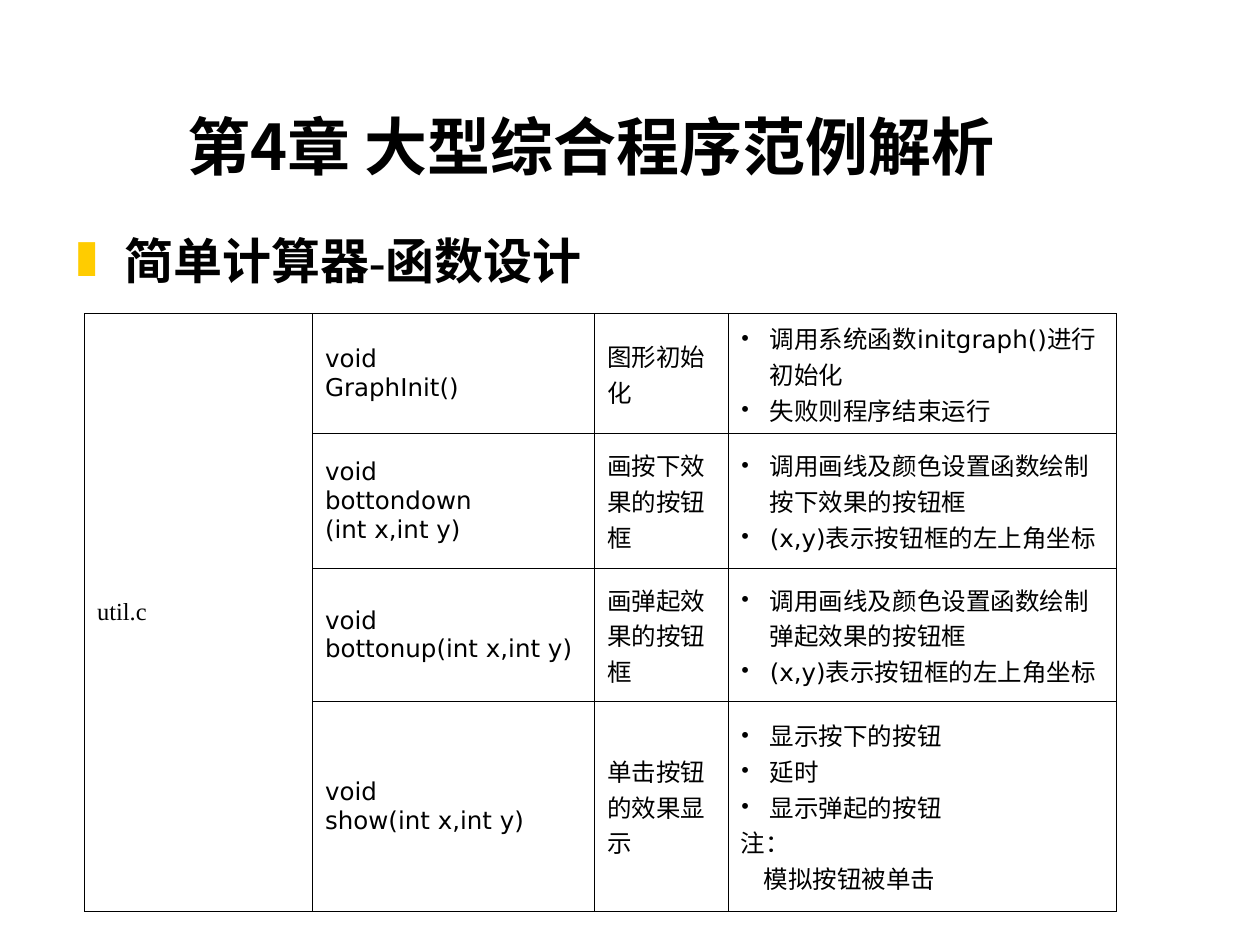
import pptx
import pptx.dml.color
import pptx.enum.text
import pptx.oxml
import pptx.oxml.ns
import pptx.util
from pptx.util import Inches

BLACK = pptx.dml.color.RGBColor(0, 0, 0)
GOLD = pptx.dml.color.RGBColor(0xFF, 0xCC, 0x00)
SERIF, SANS, CJK = "Times New Roman", "DejaVu Sans", "Noto Sans CJK SC"
ALIGN = pptx.enum.text.PP_ALIGN
ANCHOR = pptx.enum.text.MSO_ANCHOR

COLUMN_WIDTHS = [1.81, 2.24, 1.06, 3.08]
ROW_HEIGHTS = [0.95, 1.07, 1.06, 1.66]
SOURCE_FILE = "util.c"
FUNCTIONS = [
    (["void", "GraphInit()"], "图形初始化",
     ["调用系统函数initgraph()进行初始化", "失败则程序结束运行"], []),
    (["void", "bottondown", "(int x,int y)"], "画按下效果的按钮框",
     ["调用画线及颜色设置函数绘制按下效果的按钮框", "(x,y)表示按钮框的左上角坐标"], []),
    (["void", "bottonup(int x,int y)"], "画弹起效果的按钮框",
     ["调用画线及颜色设置函数绘制弹起效果的按钮框", "(x,y)表示按钮框的左上角坐标"], []),
    (["void", "show(int x,int y)"], "单击按钮的效果显示",
     ["显示按下的按钮", "延时", "显示弹起的按钮"], [("注：", 0), ("模拟按钮被单击", 0.18)]),
]


def add_element(parent, markup):
    """Append a DrawingML element given as markup without its namespace."""
    namespace = pptx.oxml.ns.nsdecls("a")
    tag, rest = markup.split(" ", 1)
    parent.append(pptx.oxml.parse_xml(f"{tag} {namespace} {rest}"))


def set_indent(paragraph, margin, bullet=None, color=BLACK):
    """Set the left margin, with a hanging bullet when one is given."""
    properties = paragraph._p.get_or_add_pPr()
    properties.set("marL", str(Inches(margin)))
    if bullet:
        properties.set("indent", str(-Inches(margin)))
        add_element(properties, f'<a:buClr ><a:srgbClr val="{color}"/></a:buClr>')
        add_element(properties, f'<a:buFont typeface="{SERIF}"/>')
        add_element(properties, f'<a:buChar char="{bullet}"/>')


def add_run(paragraph, text, font, size, bold=False):
    """Add a run with its Latin and East Asian fonts."""
    run = paragraph.add_run()
    run.text = text
    formats = {"name": font, "size": pptx.util.Pt(size), "bold": bold}
    for key, value in formats.items():
        setattr(run.font, key, value)
    run.font.color.rgb = BLACK
    add_element(run._r.get_or_add_rPr(), f'<a:ea typeface="{CJK}"/>')


def add_text_frame(slide, left, top, width, height, anchor):
    """Add a wrapping text box and return its frame."""
    box = slide.shapes.add_textbox(*map(Inches, (left, top, width, height)))
    box.text_frame.word_wrap = True
    box.text_frame.vertical_anchor = anchor
    return box.text_frame


def add_title(slide, left, top, width, height):
    """Place the chapter title."""
    frame = add_text_frame(slide, left, top, width, height, ANCHOR.BOTTOM)
    chapter = frame.paragraphs[0]
    chapter.alignment = ALIGN.CENTER
    add_run(chapter, "第4章 大型综合程序范例解析", CJK, 36, True)


def add_heading(slide, left, top, width, height):
    """Place the section heading with its gold bar bullet."""
    frame = add_text_frame(slide, left, top, width, height, ANCHOR.TOP)
    heading = frame.paragraphs[0]
    heading.alignment = ALIGN.JUSTIFY
    set_indent(heading, 0.38, "❚", GOLD)
    add_run(heading, "简单计算器-", SERIF, 28, True)
    add_run(heading, "函数设计", "Karla", 28, True)


def fill_cell(cell, lines, font):
    """Write lines of text, margin and bullet into a cell."""
    cell.vertical_anchor = ANCHOR.MIDDLE
    for index, (text, margin, bullet) in enumerate(lines):
        frame = cell.text_frame
        paragraph = frame.add_paragraph() if index else frame.paragraphs[0]
        set_indent(paragraph, margin, bullet)
        add_run(paragraph, text, font, 14)


def style_cell(cell):
    """Give a cell thin black borders and no fill."""
    for side in "LRTB":
        add_element(
            cell._tc.get_or_add_tcPr(),
            f'<a:ln{side} w="{pptx.util.Pt(0.45)}"><a:solidFill>'
            f'<a:srgbClr val="{BLACK}"/></a:solidFill></a:ln{side}>')
    cell.fill.background()


def add_function_table(slide, left, top, width, height):
    """Place the table of functions in the source file."""
    frame = slide.shapes.add_table(
        len(ROW_HEIGHTS), len(COLUMN_WIDTHS),
        *map(Inches, (left, top, width, height)))
    table = frame.table
    table.first_row = table.horz_banding = False
    for column, column_width in zip(table.columns, COLUMN_WIDTHS):
        column.width = Inches(column_width)
    for row, row_height in zip(table.rows, ROW_HEIGHTS):
        row.height = Inches(row_height)
    for cell in table.iter_cells():
        style_cell(cell)
    table.cell(0, 0).merge(table.cell(len(ROW_HEIGHTS) - 1, 0))
    fill_cell(table.cell(0, 0), [(SOURCE_FILE, 0, None)], SERIF)
    for row, (signature, purpose, steps, notes) in enumerate(FUNCTIONS):
        details = [(step, 0.23, "•") for step in steps]
        details += [(note, margin, None) for note, margin in notes]
        fill_cell(table.cell(row, 1), [(line, 0, None) for line in signature], SANS)
        fill_cell(table.cell(row, 2), [(purpose, 0, None)], SANS)
        fill_cell(table.cell(row, 3), details, SERIF if notes else SANS)


def main():
    """Build the slide and save it."""
    deck = pptx.Presentation()
    deck.slide_width, deck.slide_height = Inches(10), Inches(7.5)
    slide = deck.slides.add_slide(deck.slide_layouts[6])
    add_title(slide, 0.44, 0.25, 8.5, 1.25)
    add_heading(slide, 0.51, 1.78, 5.83, 1.45)
    add_function_table(slide, 0.67, 2.49, sum(COLUMN_WIDTHS), sum(ROW_HEIGHTS))
    deck.save("out.pptx")


if __name__ == "__main__":
    main()
